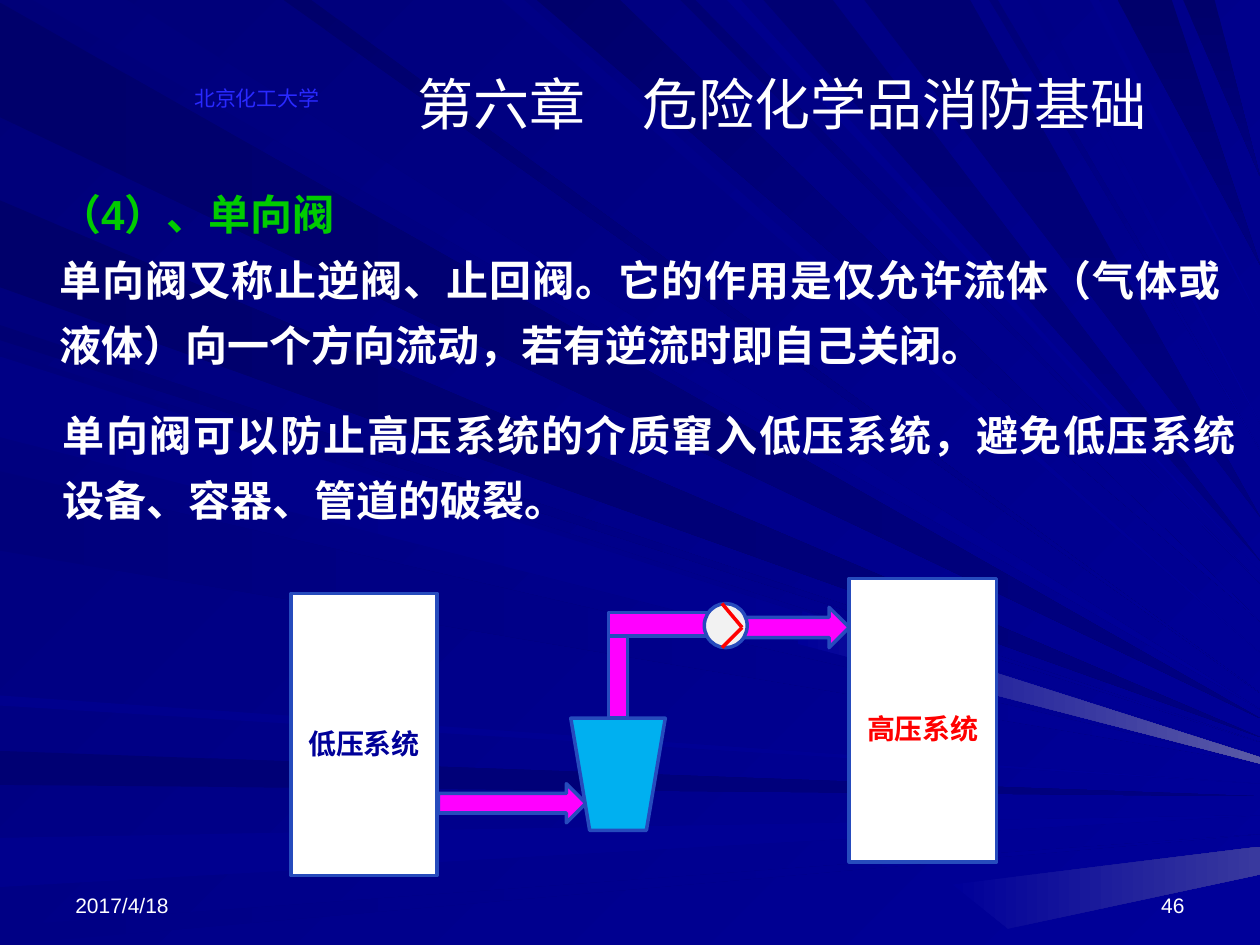
from dataclasses import dataclass
from typing import NamedTuple, Optional

from lxml import etree
from pptx import Presentation
from pptx.dml.color import RGBColor
from pptx.enum.shapes import MSO_CONNECTOR, MSO_SHAPE
from pptx.enum.text import MSO_ANCHOR, MSO_AUTO_SIZE, PP_ALIGN
from pptx.oxml.ns import qn
from pptx.util import Inches, Pt

RECTANGLE = MSO_SHAPE.RECTANGLE
RIGHT_ARROW = MSO_SHAPE.RIGHT_ARROW
TANK = MSO_SHAPE.FLOWCHART_MANUAL_OPERATION
CIRCLE = MSO_SHAPE.FLOWCHART_CONNECTOR
TOP, MIDDLE, BOTTOM = MSO_ANCHOR.TOP, MSO_ANCHOR.MIDDLE, MSO_ANCHOR.BOTTOM
LEFT, CENTER, RIGHT, JUSTIFY = PP_ALIGN.LEFT, PP_ALIGN.CENTER, PP_ALIGN.RIGHT, PP_ALIGN.JUSTIFY
SLIDE_WIDTH, SLIDE_HEIGHT = 10, 7.5


@dataclass(frozen=True)
class Theme:
    sans: str = "Arial"
    serif: str = "Times New Roman"
    white: str = "FFFFFF"
    night: str = "000078"
    navy: str = "000099"
    dusk: str = "000080"
    darkest: str = "00006B"
    dark: str = "000073"
    medium: str = "00007B"
    light: str = "000085"
    lightest: str = "00008D"
    glow: str = "5A5AA6"
    faint_glow: str = "39399E"
    heading: str = "00CC00"
    school: str = "2929FF"
    red: str = "FF0000"
    outline: str = "264BBD"
    pipe: str = "FF00FF"
    tank: str = "00B0F0"
    valve: str = "F2F2F2"
    title_size: int = 32
    body_size: int = 24
    label_size: int = 16
    small_size: int = 12
    line_width: int = 2


THEME = Theme()


class Box(NamedTuple):
    left: float
    top: float
    width: float
    height: float


class Style(NamedTuple):
    size: int
    color: str
    bold: bool = False
    font: str = THEME.sans
    align: PP_ALIGN = LEFT
    spacing: Optional[float] = None


class Ray(NamedTuple):
    """A band from one slide edge that narrows to a tip on the right edge."""
    near: float
    far: float
    tip: float
    start: str
    end: str = THEME.navy


class Part(NamedTuple):
    kind: MSO_SHAPE
    box: Box
    color: str
    label: str = ""
    label_color: str = ""


SMALL = Style(THEME.small_size, THEME.white)
BODY = Style(THEME.body_size, THEME.white, bold=True, align=JUSTIFY, spacing=1.3)

LEFT_EDGE_RAYS = [
    Ray(0.02, 0.93, 5.7, THEME.darkest, THEME.dusk),
    Ray(5.96, 6.23, 6.32, THEME.dark, THEME.dusk),
    Ray(6.65, 7.04, 6.47, THEME.lightest),
    Ray(7.35, 7.5, 6.62, THEME.light),
    Ray(2.58, 2.7, 5.89, THEME.dark),
    Ray(1.59, 2.28, 5.85, THEME.darkest, THEME.dusk),
    Ray(2.78, 3.45, 6, THEME.medium),
    Ray(3.74, 4.37, 6.06, THEME.medium),
    Ray(5.52, 5.6, 6.22, THEME.lightest),
    Ray(2.83, 3.47, 6.03, THEME.light),
]
TOP_EDGE_RAYS = [
    Ray(0.26, 1.01, 5.63, THEME.medium),
    Ray(3.98, 4.16, 5.18, THEME.light),
    Ray(4.26, 4.92, 4.93, THEME.darkest),
    Ray(5.4, 5.52, 4.63, THEME.dark),
    Ray(6.06, 6.61, 4.45, THEME.dark, THEME.dusk),
    Ray(8.87, 9.3, 2.1, THEME.darkest, THEME.dusk),
    Ray(9.39, 9.64, 1.4, THEME.darkest, THEME.dusk),
    Ray(2.25, 2.47, 5.5, THEME.darkest),
    Ray(5.77, 5.88, 4.54, THEME.lightest),
    Ray(6.86, 7.7, 4.1, THEME.dark, THEME.dusk),
    Ray(7.85, 7.92, 3.57, THEME.night),
    Ray(8.15, 8.24, 3.36, THEME.light),
    Ray(8.65, 8.72, 2.54, THEME.lightest),
]
GLOWS = [
    ([(7.56, 7.02), (10, 6.72), (10, 6.94), (8, 7.37)], THEME.faint_glow),
    ([(6.37, 4.85), (10, 6.01), (10, 6.06), (6.33, 5.11)], THEME.glow),
]

PARTS = [
    Part(RECTANGLE, Box(2.31, 4.71, 1.16, 2.24), THEME.white, "低压系统", THEME.navy),
    Part(RIGHT_ARROW, Box(3.48, 6.22, 1.17, 0.31), THEME.pipe),
    Part(TANK, Box(4.53, 5.7, 0.75, 0.89), THEME.tank),
    Part(RECTANGLE, Box(4.83, 4.86, 0.15, 0.84), THEME.pipe),
    Part(RECTANGLE, Box(4.83, 4.86, 0.84, 0.19), THEME.pipe),
    Part(RIGHT_ARROW, Box(5.89, 4.82, 0.85, 0.32), THEME.pipe),
    Part(CIRCLE, Box(5.59, 4.79, 0.34, 0.35), THEME.valve),
    Part(RECTANGLE, Box(6.74, 4.59, 1.17, 2.25), THEME.white, "高压系统", THEME.red),
]
VALVE_FLAP = [(5.73, 4.79), (5.89, 4.98), (5.73, 5.14)]


def inches(values) -> list:
    return [Inches(value) for value in values]


def fill_gradient(fill, start: str, end: str, angle: int) -> None:
    """Blend two colours; the angle runs clockwise."""
    fill.gradient()
    fill.gradient_angle = -angle % 360
    for stop, color in zip(fill.gradient_stops, (start, end)):
        stop.color.rgb = RGBColor.from_string(color)


def add_band(slide, points: list, start: str, end: str, angle: int = 0) -> None:
    first, *others = [inches(point) for point in points]
    builder = slide.shapes.build_freeform(*first)
    builder.add_line_segments(others, close=True)
    shape = builder.convert_to_shape()
    shape.shadow.inherit = False
    shape.line.fill.background()
    fill_gradient(shape.fill, start, end, angle)


def add_rays(slide) -> None:
    for ray in LEFT_EDGE_RAYS:
        points = [(0, ray.near), (SLIDE_WIDTH, ray.tip), (0, ray.far)]
        add_band(slide, points, ray.start, ray.end)
    for ray in TOP_EDGE_RAYS:
        points = [(ray.near, 0), (SLIDE_WIDTH, ray.tip), (ray.far, 0)]
        add_band(slide, points, ray.start, ray.end, 90 if ray.end == THEME.dusk else 45)
    for points, color in GLOWS:
        add_band(slide, points, THEME.navy, color)


def write(frame, lines: list, anchor: MSO_ANCHOR) -> None:
    """Write (text, style) pairs, one paragraph each."""
    frame.word_wrap = True
    frame.vertical_anchor = anchor
    for index, (text, style) in enumerate(lines):
        paragraph = frame.add_paragraph() if index else frame.paragraphs[0]
        paragraph.alignment = style.align
        if style.spacing:
            paragraph.line_spacing = style.spacing
        run = paragraph.add_run()
        run.text = text
        run.font.name, run.font.size, run.font.bold = style.font, Pt(style.size), style.bold
        run.font.color.rgb = RGBColor.from_string(style.color)


def add_text(slide, box: Box, lines: list, anchor: MSO_ANCHOR = TOP) -> None:
    frame = slide.shapes.add_textbox(*inches(box)).text_frame
    write(frame, lines, anchor)
    frame.auto_size = MSO_AUTO_SIZE.SHAPE_TO_FIT_TEXT if anchor == TOP else MSO_AUTO_SIZE.NONE


def place_title(slide, box: Box, text: str) -> None:
    """Move the title above the rays and write it."""
    title = slide.shapes.title
    title.element.getparent().append(title.element)
    title.left, title.top, title.width, title.height = inches(box)
    write(title.text_frame, [(text, Style(THEME.title_size, THEME.white, align=CENTER))], MIDDLE)


def add_part(slide, part: Part) -> None:
    shape = slide.shapes.add_shape(part.kind, *inches(part.box))
    shape.shadow.inherit = False
    shape.fill.solid()
    shape.fill.fore_color.rgb = RGBColor.from_string(part.color)
    shape.line.color.rgb = RGBColor.from_string(THEME.outline)
    shape.line.width = Pt(THEME.line_width)
    if part.label:
        style = Style(THEME.label_size, part.label_color, True, THEME.serif, CENTER, 1.5)
        write(shape.text_frame, [(part.label, style)], MIDDLE)


def add_line(slide, start: tuple, end: tuple) -> None:
    line = slide.shapes.add_connector(MSO_CONNECTOR.STRAIGHT, *inches(start + end))
    line.line.color.rgb = RGBColor.from_string(THEME.red)
    line.line.width = Pt(THEME.line_width)
    etree.SubElement(line.element.spPr, qn("a:effectLst"))


def main() -> None:
    presentation = Presentation()
    presentation.slide_width, presentation.slide_height = inches((SLIDE_WIDTH, SLIDE_HEIGHT))
    slide = presentation.slides.add_slide(presentation.slide_layouts[5])
    fill_gradient(slide.background.fill, THEME.night, THEME.navy, 45)
    add_rays(slide)
    add_text(slide, Box(0.5, 6.83, 2.33, 0.5), [("2017/4/18", SMALL)], BOTTOM)
    add_text(slide, Box(7.17, 6.83, 2.33, 0.5), [("46", SMALL._replace(align=RIGHT))], BOTTOM)
    add_text(slide, Box(0.37, 1.33, 9.42, 2.73), [
        ("（4）、单向阀", BODY._replace(color=THEME.heading)),
        ("单向阀又称止逆阀、止回阀。它的作用是仅允许流体（气体或液体）向一个方向流动，若有逆流时即自己关闭。", BODY)])
    place_title(slide, Box(2.92, 0.3, 6.58, 1.03), "第六章　危险化学品消防基础")
    add_text(slide, Box(1.33, 0.58, 1.42, 0.35),
             [("北京化工大学", SMALL._replace(color=THEME.school, align=CENTER))], BOTTOM)
    add_text(slide, Box(0.4, 3.08, 9.51, 1.15),
             [("单向阀可以防止高压系统的介质窜入低压系统，避免低压系统设备、容器、管道的破裂。", BODY)])
    for part in PARTS:
        add_part(slide, part)
    for start, end in zip(VALVE_FLAP, VALVE_FLAP[1:]):
        add_line(slide, start, end)
    presentation.save("out.pptx")


if __name__ == "__main__":
    main()
